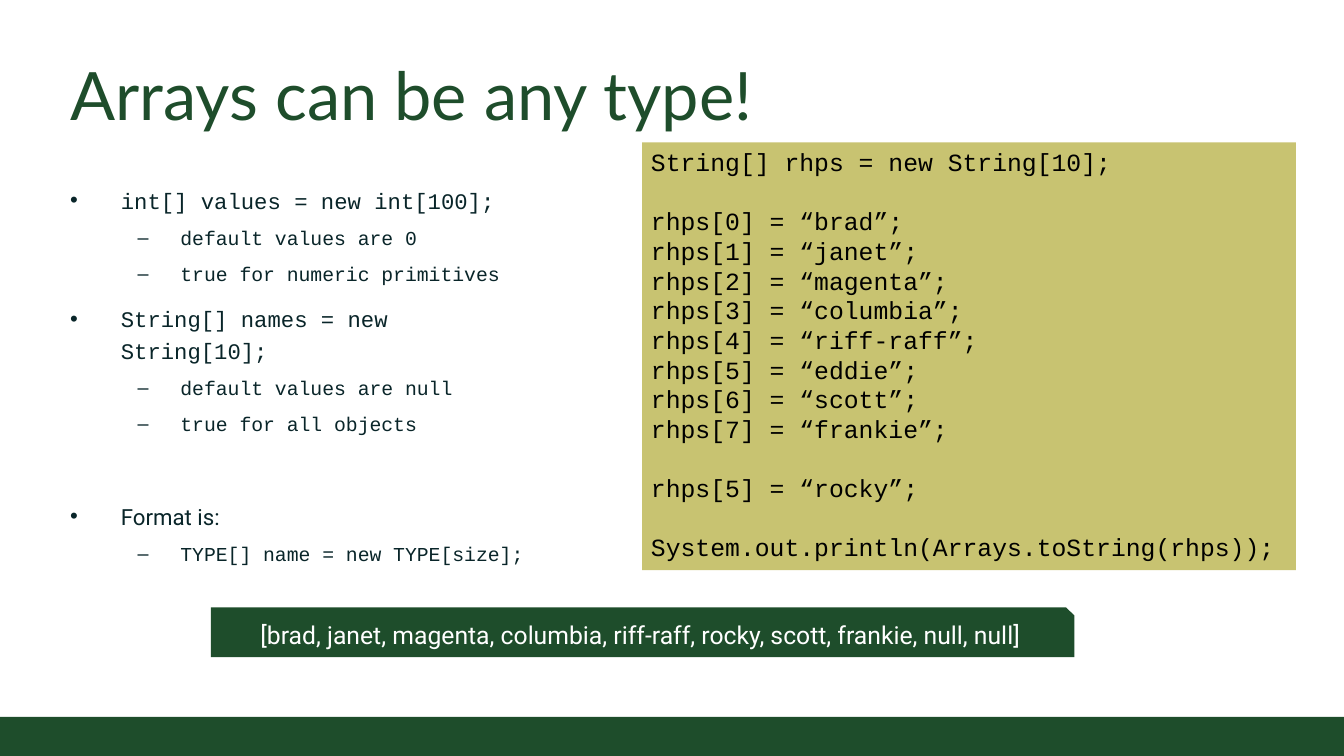
from dataclasses import dataclass

from lxml import etree
from pptx import Presentation
from pptx import util as u
from pptx.dml.color import RGBColor
from pptx.enum import shapes, text
from pptx.oxml.ns import qn


@dataclass(frozen=True)
class Theme:
    green: str = "1E4D2B"
    gold: str = "C8C371"
    ink: str = "092529"
    black: str = "000000"
    white: str = "FFFFFF"
    heading: str = "Lato"
    body: str = "Roboto"
    code: str = "Courier New"
    title_size: int = 54
    code_size: int = 20
    point_size: int = 18
    detail_size: int = 16


THEME = Theme()
LEVELS = (
    {"size": THEME.point_size, "bullet": "•", "margin": 0.57, "hang": -0.57, "before": 6},
    {"size": THEME.detail_size, "bullet": "–", "margin": 1.24, "hang": -0.48, "before": 0},
)
POINTS = (
    (0, "int[] values = new int[100];", THEME.code, 0),
    (1, "default values are 0", THEME.code, 0),
    (1, "true for numeric primitives", THEME.code, 0),
    (0, "String[] names = new String[10];", THEME.code, 0),
    (1, "default values are null", THEME.code, 0),
    (1, "true for all objects", THEME.code, 0),
    (0, "Format is:", THEME.body, 38),
    (1, "TYPE[] name = new TYPE[size];", THEME.code, 0),
)
NAMES = ("brad", "janet", "magenta", "columbia", "riff-raff", "eddie", "scott", "frankie")
CODE_BLOCKS = (
    ["String[] rhps = new String[10];"],
    [f"rhps[{index}] = “{name}”;" for index, name in enumerate(NAMES)],
    ["rhps[5] = “rocky”;"],
    ["System.out.println(Arrays.toString(rhps));"],
)
CODE_GAP = 24


def apply(target, values):
    for name, value in values.items():
        setattr(target, name, value)


def set_frame(frame, anchor=text.MSO_ANCHOR.TOP, inset_x=0.1, inset_y=0.1):
    apply(frame, {
        "word_wrap": True,
        "vertical_anchor": anchor,
        "margin_left": u.Inches(inset_x),
        "margin_right": u.Inches(inset_x),
        "margin_top": u.Inches(inset_y),
        "margin_bottom": u.Inches(inset_y),
    })
    return frame


def add_text(slide, box, **frame_format):
    area = slide.shapes.add_textbox(*map(u.Inches, box))
    return set_frame(area.text_frame, **frame_format)


def add_panel(slide, kind, box, color, **frame_format):
    panel = slide.shapes.add_shape(kind, *map(u.Inches, box))
    panel.shadow.inherit = False
    panel.fill.solid()
    panel.fill.fore_color.rgb = RGBColor.from_string(color)
    panel.line.fill.background()
    return set_frame(panel.text_frame, **frame_format)


def write_line(frame, words, font, size, color, **paragraph_format):
    first = frame.paragraphs[0]
    line = frame.add_paragraph() if first.runs else first
    apply(line, {"alignment": text.PP_ALIGN.LEFT, **paragraph_format})
    run = line.add_run()
    run.text = words
    apply(run.font, {"name": font, "size": u.Pt(size)})
    run.font.color.rgb = RGBColor.from_string(color)
    return line


def set_bullet(line, level):
    properties = line._p.get_or_add_pPr()
    properties.set("marL", str(u.Inches(level["margin"])))
    properties.set("indent", str(u.Inches(level["hang"])))
    typeface = etree.SubElement(properties, qn("a:buFont"))
    typeface.set("typeface", "Arial")
    bullet = etree.SubElement(properties, qn("a:buChar"))
    bullet.set("char", level["bullet"])


def write_points(frame):
    for depth, words, font, gap in POINTS:
        level = LEVELS[depth]
        line = write_line(
            frame, words, font, level["size"], THEME.ink,
            level=depth, line_spacing=1.2,
            space_before=u.Pt(level["before"] + gap), space_after=u.Pt(6),
        )
        set_bullet(line, level)


def write_code(frame):
    for block_index, block in enumerate(CODE_BLOCKS):
        for line_index, words in enumerate(block):
            gap = CODE_GAP if block_index and not line_index else 0
            write_line(frame, words, THEME.code, THEME.code_size, THEME.black,
                       space_before=u.Pt(gap))


def main():
    deck = Presentation()
    apply(deck, {"slide_width": u.Inches(15.11), "slide_height": u.Inches(8.5)})
    slide = deck.slides.add_slide(deck.slide_layouts[6])
    rectangle = shapes.MSO_SHAPE.RECTANGLE

    add_panel(slide, rectangle, (0, 8.06, 15.11, 0.44), THEME.green)

    title = add_text(slide, (0.69, 0.49, 13.74, 1.11), anchor=text.MSO_ANCHOR.BOTTOM)
    write_line(title, "Arrays can be any type!", THEME.heading, THEME.title_size, THEME.green)

    write_points(add_text(slide, (0.69, 1.94, 5.33, 4.69)))
    write_code(add_panel(slide, rectangle, (7.22, 1.6, 7.35, 4.81), THEME.gold, inset_y=0.05))

    output = add_panel(
        slide, shapes.MSO_SHAPE.SNIP_1_RECTANGLE, (2.37, 6.83, 9.71, 0.56), THEME.green,
        anchor=text.MSO_ANCHOR.MIDDLE, inset_x=0.3, inset_y=0.2,
    )
    write_line(
        output,
        "[brad, janet, magenta, columbia, riff-raff, rocky, scott, frankie, null, null]",
        THEME.body, THEME.code_size, THEME.white, alignment=text.PP_ALIGN.CENTER,
    )
    deck.save("out.pptx")


if __name__ == "__main__":
    main()
